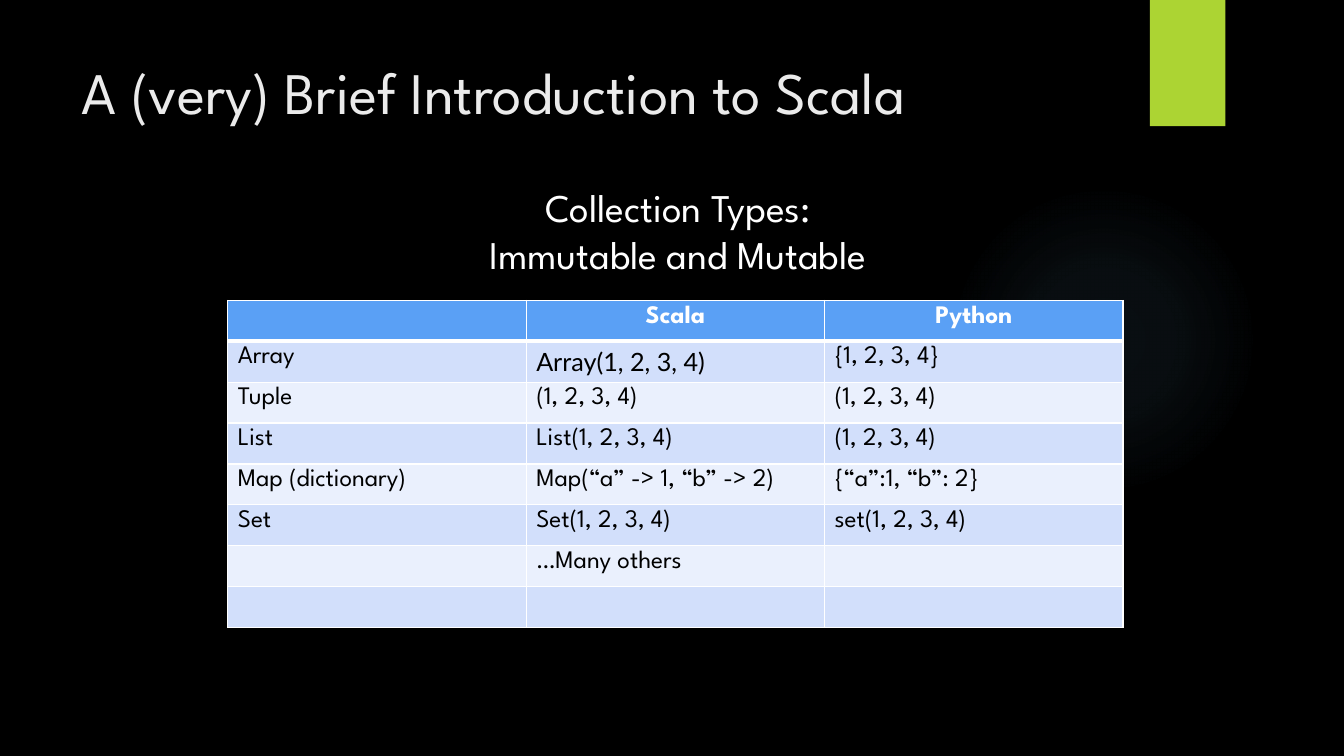
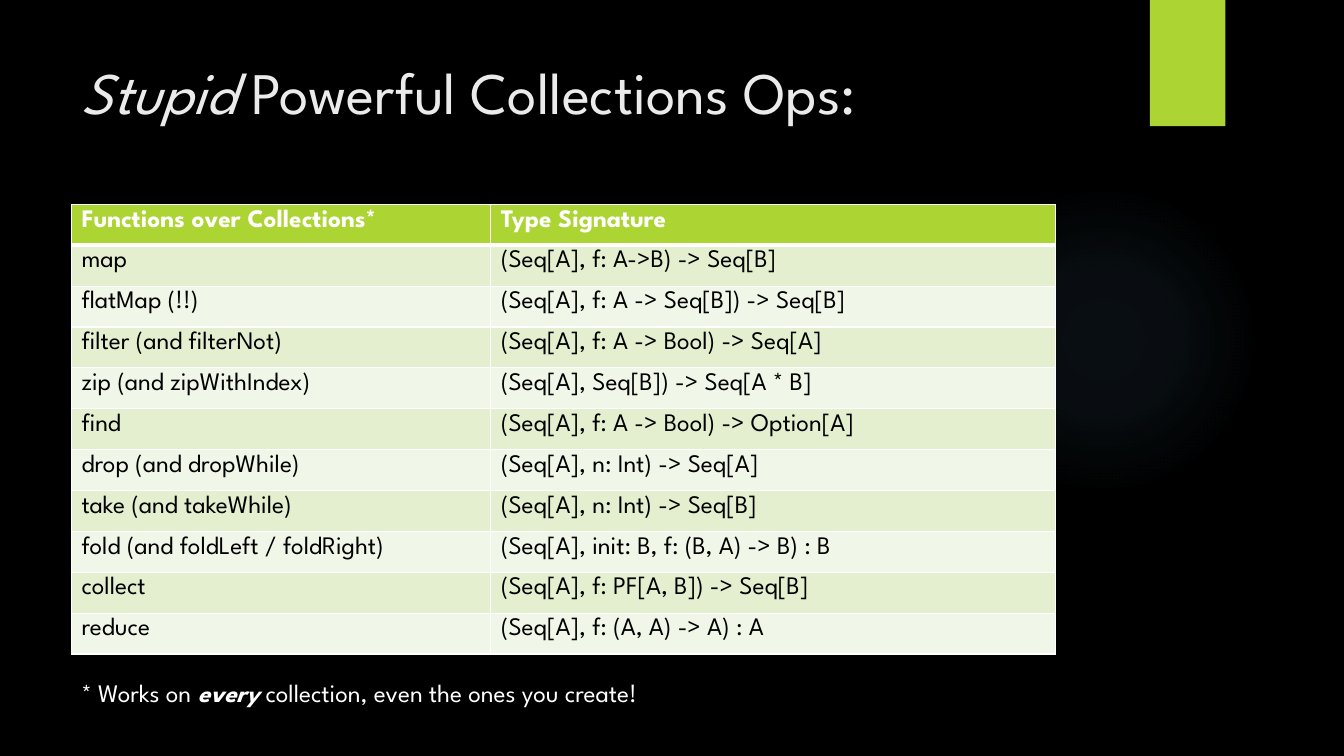
from lxml.etree import SubElement
from pptx import Presentation
from pptx.dml.color import RGBColor
from pptx.enum.shapes import MSO_SHAPE as Shape
from pptx.enum.text import MSO_ANCHOR as Anchor, PP_ALIGN as Align
from pptx.oxml import parse_xml
from pptx.oxml.ns import nsdecls, qn
from pptx.util import Cm, Pt

FONT, ALT_FONT = "League Spartan", "Lato"
BLACK, WHITE, TITLE, LIME, GLOW = "000000", "FFFFFF", "EBEBEB", "ACD433", "7AC4F0"
BLUE_STYLE = ("5AA0F5", "D2DFFB", "EAF0FD")
LIME_STYLE = (LIME, "E3EFCE", "F1F7E8")
ROW_H = 1.03

COLLECTIONS = [
    ("", "Scala", "Python"),
    ("Array", "Array(1, 2, 3, 4)", "{1, 2, 3, 4}"),
    ("Tuple", "(1, 2, 3, 4)", "(1, 2, 3, 4)"),
    ("List", "List(1, 2, 3, 4)", "(1, 2, 3, 4)"),
    ("Map (dictionary)", "Map(“a” -> 1, “b” -> 2)", "{“a”:1, “b”: 2}"),
    ("Set", "Set(1, 2, 3, 4)", "set(1, 2, 3, 4)"),
    ("", "…Many others", ""),
    ("", "", ""),
]
OPERATIONS = [
    ("Functions over Collections*", "Type Signature"),
    ("map", "(Seq[A], f: A->B) -> Seq[B]"),
    ("flatMap (!!)", "(Seq[A], f: A -> Seq[B]) -> Seq[B]"),
    ("filter (and filterNot)", "(Seq[A], f: A -> Bool) -> Seq[A]"),
    ("zip (and zipWithIndex)", "(Seq[A], Seq[B]) -> Seq[A * B]"),
    ("find", "(Seq[A], f: A -> Bool) -> Option[A]"),
    ("drop (and dropWhile)", "(Seq[A], n: Int) -> Seq[A]"),
    ("take (and takeWhile)", "(Seq[A], n: Int) -> Seq[B]"),
    ("fold (and foldLeft / foldRight)", "(Seq[A], init: B, f: (B, A) -> B) : B"),
    ("collect", "(Seq[A], f: PF[A, B]) -> Seq[B]"),
    ("reduce", "(Seq[A], f: (A, A) -> A) : A"),
]


def paint(fill, color):
    """Fill with one solid hex colour."""
    fill.solid()
    fill.fore_color.rgb = RGBColor.from_string(color)


def add_run(p, text, size, color, bold=False, italic=False, font=FONT):
    """Append one formatted run to a paragraph."""
    r = p.add_run()
    r.text = text
    r.font.name, r.font.size = font, Pt(size)
    r.font.bold, r.font.italic = bold, italic
    r.font.color.rgb = RGBColor.from_string(color)


def add_backdrop_shape(s, kind, box, color):
    """Place a plain shape on the layout of a slide, behind its placeholders."""
    sp = s.shapes.add_shape(kind, *map(Cm, box))
    sp.shadow.inherit = False
    sp.line.fill.background()
    paint(sp.fill, color)
    s.slide_layout.shapes.element.insert(2, sp.element)
    return sp


def add_backdrop(s):
    """Build the black background, glow and corner tab shared by all slides."""
    paint(s.slide_layout.slide_master.background.fill, BLACK)
    add_backdrop_shape(s, Shape.RECTANGLE, (28.98, 0, 1.9, 3.18), LIME)
    glow = add_backdrop_shape(s, Shape.OVAL, (23.9, 4.65, 7.82, 7.82), GLOW)
    stops = "".join(
        f'<a:gs pos="{pos}000"><a:srgbClr val="{GLOW}"><a:alpha val="{alpha}000"/>'
        "</a:srgbClr></a:gs>" for pos, alpha in ((0, 7), (36, 6), (69, 0)))
    grad = parse_xml(
        f'<a:gradFill {nsdecls("a")}><a:gsLst>{stops}</a:gsLst><a:path path="circle">'
        '<a:fillToRect l="50000" t="50000" r="50000" b="50000"/></a:path></a:gradFill>')
    solid = glow.element.spPr.find(qn("a:solidFill"))
    solid.getparent().replace(solid, grad)


def add_title(s, *runs):
    """Fill the title placeholder with (text, italic) runs."""
    sp = s.shapes.title
    sp.left, sp.top, sp.width, sp.height = map(Cm, (1.8, 1.27, 26.14, 3.89))
    tf = sp.text_frame
    tf.vertical_anchor = Anchor.TOP
    p = tf.paragraphs[0]
    p.alignment = Align.LEFT
    for text, italic in runs:
        add_run(p, text, 42, TITLE, italic=italic)


def add_text(s, box, lines, size, align=Align.LEFT):
    """Add a text box whose lines are lists of (text, emphasised) runs."""
    tf = s.shapes.add_textbox(*map(Cm, box)).text_frame
    tf.word_wrap = True
    for i, runs in enumerate(lines):
        p = tf.add_paragraph() if i else tf.paragraphs[0]
        p.alignment = align
        for text, strong in runs:
            add_run(p, text, size, WHITE, strong, strong)


def add_borders(cell, bottom):
    """Draw white borders round a cell, with a bottom width in points."""
    tc_pr = cell._tc.get_or_add_tcPr()
    for side, width in (("L", 1), ("R", 1), ("T", 1), ("B", bottom)):
        ln = SubElement(tc_pr, qn(f"a:ln{side}"), w=str(Pt(width)))
        SubElement(SubElement(ln, qn("a:solidFill")), qn("a:srgbClr"), val=WHITE)


def add_grid(s, left, top, widths, rows, style, head_align=Align.LEFT, alt_cells=()):
    """Add a banded table, with alt_cells set in the alternative font."""
    head, *bands = style
    table = s.shapes.add_table(len(rows), len(widths), Cm(left), Cm(top),
                               Cm(sum(widths)), Cm(ROW_H * len(rows))).table
    for col, width in zip(table.columns, widths):
        col.width = Cm(width)
    for i, row in enumerate(rows):
        table.rows[i].height = Cm(ROW_H)
        for j, text in enumerate(row):
            cell = table.cell(i, j)
            add_borders(cell, 1 if i else 3)
            paint(cell.fill, bands[(i - 1) % 2] if i else head)
            p = cell.text_frame.paragraphs[0]
            p.alignment = Align.LEFT if i else head_align
            if text:
                add_run(p, text, 18, BLACK if i else WHITE, bold=not i,
                        font=ALT_FONT if (i, j) in alt_cells else FONT)


def add_collections_slide(s):
    """Compare the collection types of two languages."""
    add_title(s, ("A (very) Brief Introduction to Scala", False))
    add_grid(s, 5.74, 7.57, [7.52] * 3, COLLECTIONS, BLUE_STYLE, Align.CENTER, {(1, 1)})
    add_text(s, (10.82, 4.5, 12.52, 2.64),
             [[("Collection Types:", False)], [("Immutable and Mutable", False)]],
             28, Align.CENTER)


def add_operations_slide(s):
    """List the collection functions with their type signatures."""
    add_title(s, ("Stupid", True), (" Powerful Collections Ops:", False))
    add_grid(s, 1.8, 5.15, [10.57, 14.22], OPERATIONS, LIME_STYLE)
    add_text(s, (1.8, 16.94, 24.79, 1.02),
             [[("* Works on ", False), ("every", True),
               (" collection, even the ones you create!", False)]], 18)


def main():
    """Build and save the presentation."""
    prs = Presentation()
    prs.slide_width, prs.slide_height = Cm(33.87), Cm(19.05)
    layout = prs.slide_layouts[5]
    slides = [prs.slides.add_slide(layout) for _ in range(2)]
    add_backdrop(slides[0])
    add_collections_slide(slides[0])
    add_operations_slide(slides[1])
    prs.save("out.pptx")


if __name__ == "__main__":
    main()
